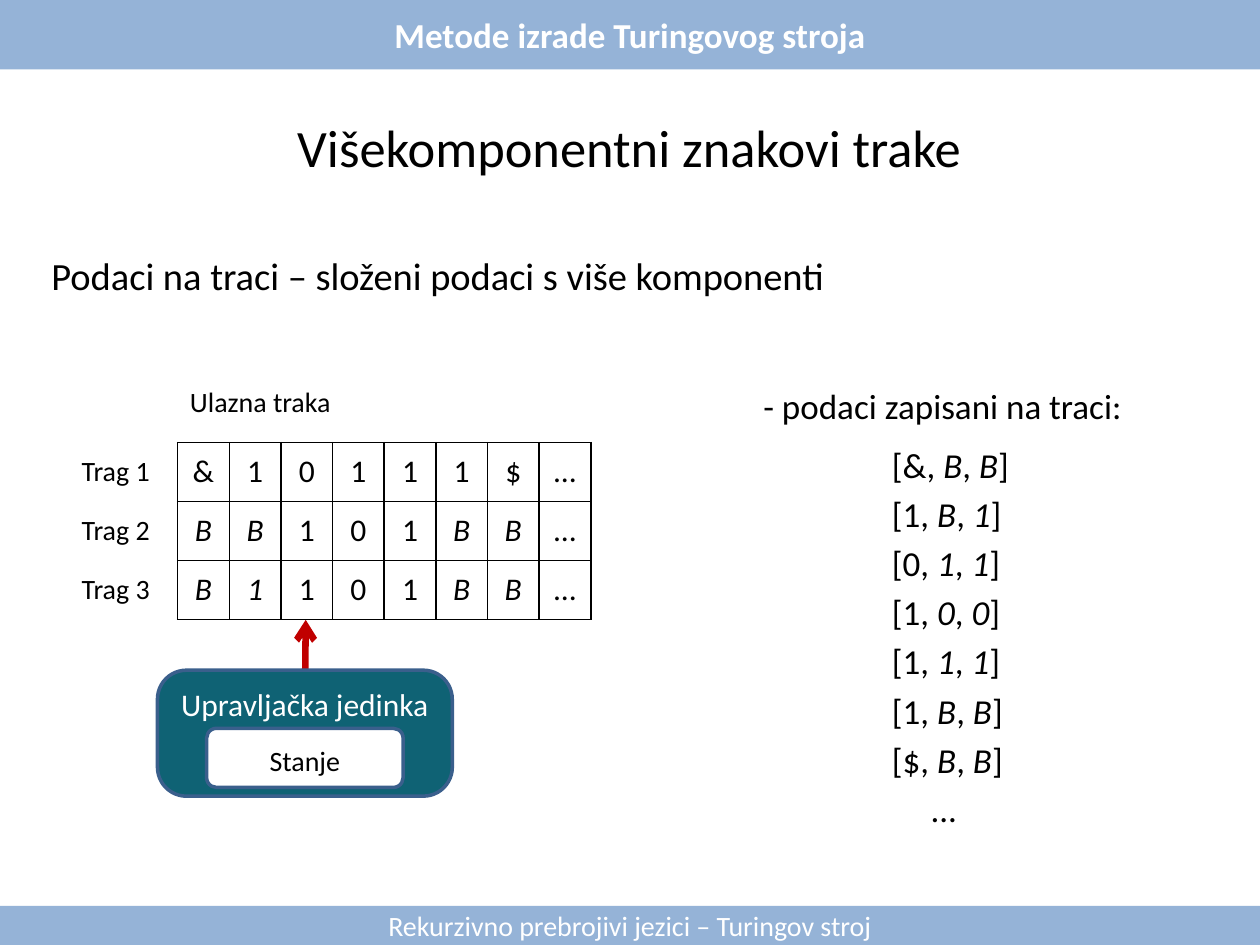
from lxml.etree import SubElement
from pptx import Presentation
from pptx.dml.color import RGBColor
from pptx.enum.shapes import MSO_CONNECTOR, MSO_SHAPE
from pptx.enum.text import MSO_ANCHOR, MSO_AUTO_SIZE, PP_ALIGN
from pptx.oxml.ns import qn
from pptx.util import Pt

BLACK = RGBColor(0x00, 0x00, 0x00)
WHITE = RGBColor(0xFF, 0xFF, 0xFF)
BLUE = RGBColor(0x95, 0xB3, 0xD7)
TEAL = RGBColor(0x0F, 0x62, 0x74)
EDGE = RGBColor(0x3A, 0x5F, 0x8C)
RED = RGBColor(0xC0, 0x00, 0x00)


def write(frame, text, size=16, color=BLACK, bold=False, align=PP_ALIGN.LEFT,
          anchor=MSO_ANCHOR.TOP, wrap=True, fit=MSO_AUTO_SIZE.NONE):
    """Write one paragraph; pieces between asterisks are italic."""
    frame.word_wrap = wrap
    frame.auto_size = fit
    frame.vertical_anchor = anchor
    para = frame.paragraphs[0]
    para.alignment = align
    for i, piece in enumerate(text.split("*")):
        if piece:
            run = para.add_run()
            run.text = piece
            font = run.font
            font.name, font.size, font.bold = "Calibri", Pt(size), bold
            font.italic = i % 2 == 1
            font.color.rgb = color


def block(home, kind, box, fill, round=None, line=None):
    shape = home.add_shape(kind, *map(Pt, box))
    shape.shadow.inherit = False
    shape.fill.solid()
    shape.fill.fore_color.rgb = fill
    if round is not None:
        shape.adjustments[0] = round
    if line is None:
        shape.line.fill.background()
    else:
        shape.line.color.rgb = line
        shape.line.width = Pt(2)
    return shape


deck = Presentation()
deck.slide_width, deck.slide_height = Pt(720), Pt(540)
slide = deck.slides.add_slide(deck.slide_layouts[5])
shapes = slide.shapes

# Title
title = shapes.title
title.left, title.top, title.width, title.height = map(Pt, (140.4, 61.9, 438.5, 43.9))
write(title.text_frame, "Višekomponentni znakovi trake", size=30,
      align=PP_ALIGN.CENTER)

# Header and footer bars
for top, high, text, size, bold in (
        (0, 39.6, "Metode izrade Turingovog stroja", 20, True),
        (517.7, 22.3, "Rekurzivno prebrojivi jezici – Turingov stroj", 16, False)):
    bar = block(shapes, MSO_SHAPE.ROUND_2_SAME_RECTANGLE, (0, top, 720, high), BLUE, 0)
    write(bar.text_frame, text, size=size, color=WHITE, bold=bold,
          align=PP_ALIGN.CENTER, anchor=MSO_ANCHOR.MIDDLE)

# Control unit with its head on the tape
unit = shapes.add_group_shape().shapes
head = unit.add_connector(MSO_CONNECTOR.STRAIGHT, Pt(174.3), Pt(399.6),
                          Pt(174.7), Pt(354.2))
head.line.color.rgb = RED
head.line.width = Pt(3.75)
SubElement(head.line._get_or_add_ln(), qn("a:tailEnd"), type="arrow")
SubElement(head._element.spPr, qn("a:effectLst"))

case = block(unit, MSO_SHAPE.ROUNDED_RECTANGLE, (90, 383, 168.5, 72), TEAL, 0.23, EDGE)
write(case.text_frame, "Upravljačka jedinka", size=18, color=WHITE,
      align=PP_ALIGN.CENTER)
block(unit, MSO_SHAPE.ROUNDED_RECTANGLE, (118.1, 416.2, 112.3, 33.8), WHITE, line=EDGE)
state = unit.add_textbox(Pt(115.2), Pt(421.2), Pt(118.1), Pt(26.6))
write(state.text_frame, "Stanje", align=PP_ALIGN.CENTER, anchor=MSO_ANCHOR.MIDDLE,
      fit=MSO_AUTO_SIZE.SHAPE_TO_FIT_TEXT)

# Tape with three tracks
TRACKS = (
    "& 1 0 1 1 1 $ ...",
    "*B* *B* 1 0 1 *B* *B* ...",
    "*B* *1* 1 0 1 *B* *B* ...",
)
COL, ROW = 29.53, 33.75
tape = shapes.add_table(3, 8, Pt(101.5), Pt(252.9), Pt(8 * COL), Pt(3 * ROW)).table
tape.first_row = tape.horz_banding = False
for col in tape.columns:
    col.width = Pt(COL)
for row, track in zip(tape.rows, TRACKS):
    row.height = Pt(ROW)
    for cell, sign in zip(row.cells, track.split()):
        write(cell.text_frame, sign, size=18, align=PP_ALIGN.CENTER)
        cell.vertical_anchor = MSO_ANCHOR.MIDDLE
        props = cell._tc.get_or_add_tcPr()
        for side in ("lnL", "lnR", "lnT", "lnB"):
            edge = SubElement(props, qn("a:" + side), w=str(Pt(1)))
            fill = SubElement(edge, qn("a:solidFill"))
            SubElement(fill, qn("a:srgbClr"), val=str(BLACK))
        cell.fill.background()

# Labels: left, top, width, height, text, size
labels = [
    (101.5, 216, 95.8, 26.6, "Ulazna traka", 16),
    (22.3, 140.4, 460.8, 33.8, "Podaci na traci – složeni podaci s više komponenti", 22),
    (429.1, 216, 221.8, 31.5, "- podaci zapisani na traci:", 20),
]
labels += [(39.6, 255.6 + ROW * i, 54, 26.6, f"Trag {i + 1}", 16) for i in range(3)]

LEFT, TOP, STEP = 502.6, 249.8, 28.08
SIGNS = ("&BB", "1B1", "011", "100", "111", "1BB", "$BB")
labels += [(LEFT, TOP + STEP * i, 84, 31.5, f"[{a}, *{b}*, *{c}*]", 20)
           for i, (a, b, c) in enumerate(SIGNS)]
for *box, text, size in labels:
    label = shapes.add_textbox(*map(Pt, box))
    write(label.text_frame, text, size=size, wrap=False,
          fit=MSO_AUTO_SIZE.SHAPE_TO_FIT_TEXT)

more = shapes.add_textbox(Pt(LEFT), Pt(TOP + STEP * len(SIGNS)), Pt(73.4), Pt(31.5))
write(more.text_frame, "...", size=20, align=PP_ALIGN.CENTER,
      fit=MSO_AUTO_SIZE.SHAPE_TO_FIT_TEXT)

deck.save("out.pptx")
